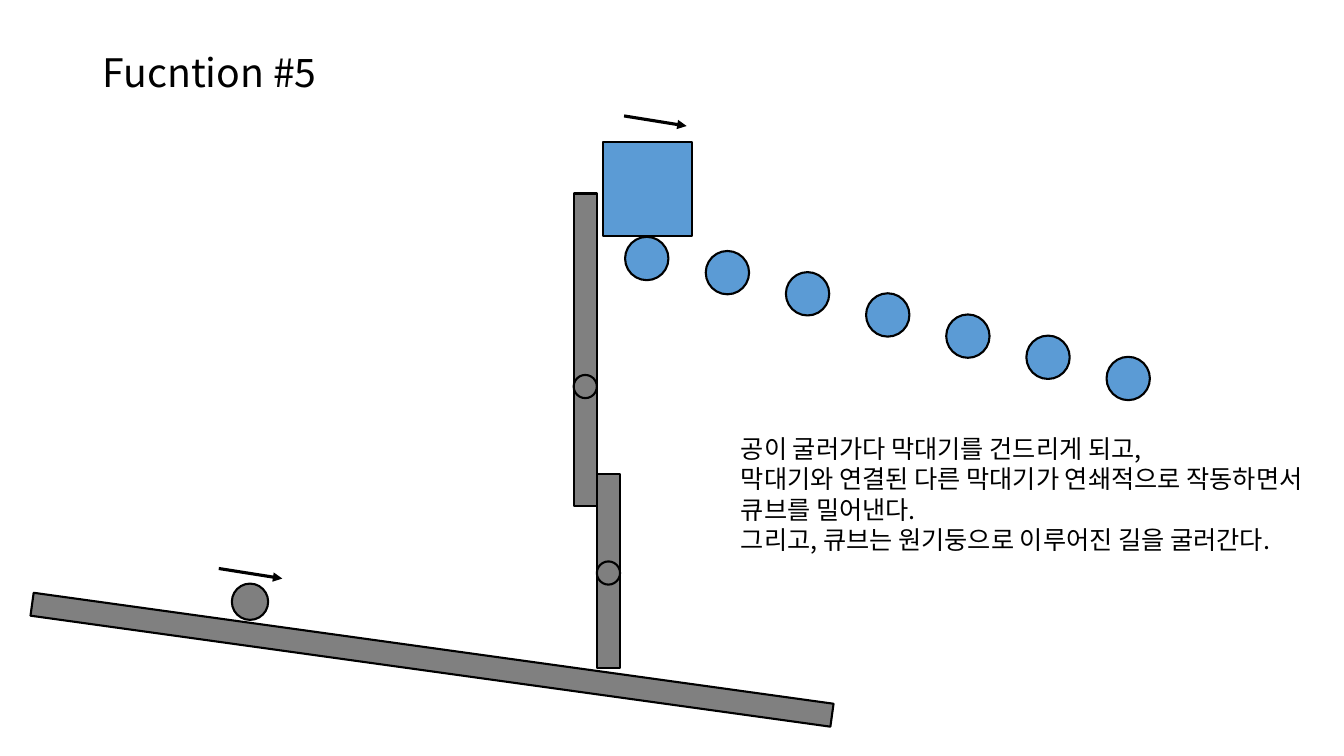
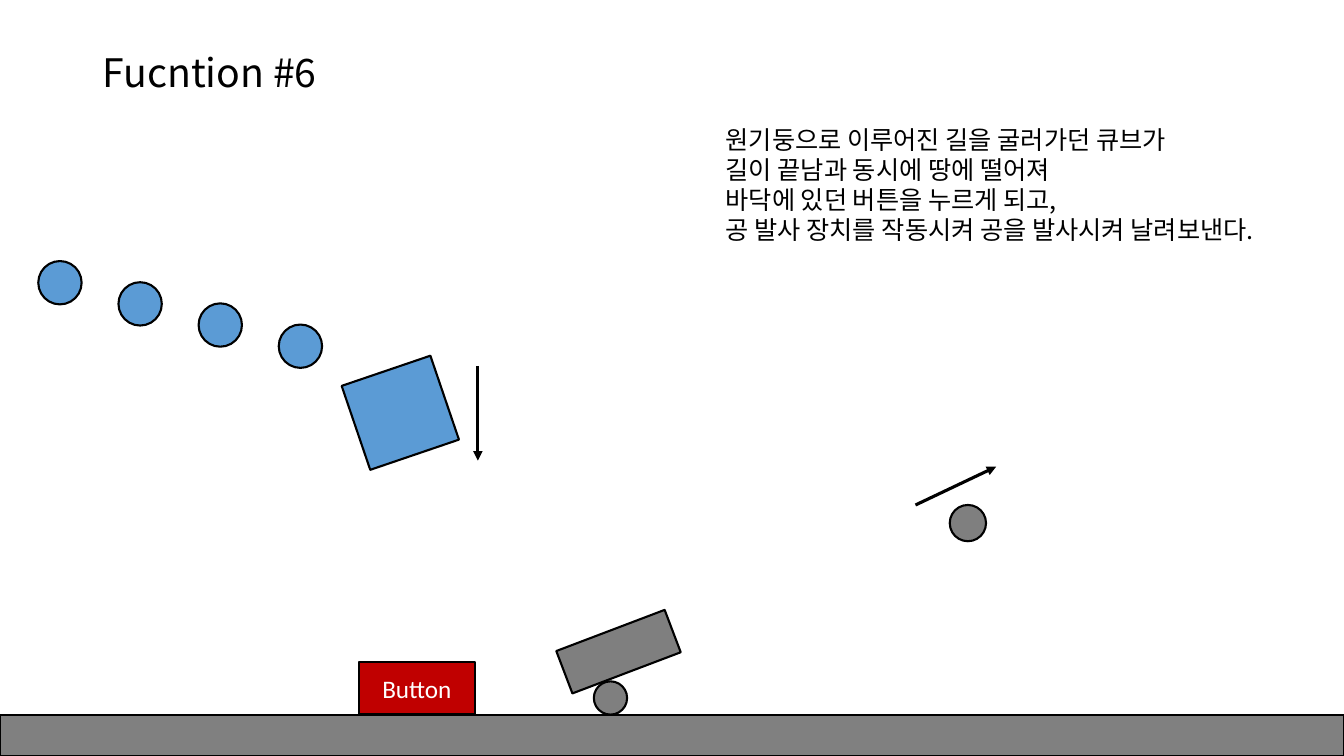
from dataclasses import dataclass

from lxml import etree
from pptx import Presentation
from pptx.dml.color import RGBColor
from pptx.enum import shapes, text
from pptx.oxml.ns import qn
from pptx.util import Inches, Pt


@dataclass(frozen=True)
class Theme:
    ink: str = "000000"
    white: str = "FFFFFF"
    blue: str = "5B9BD5"
    gray: str = "808080"
    pivot: str = "7F7F7F"
    red: str = "C00000"
    font: str = "Noto Sans CJK KR"
    label_font: str = "Calibri"
    title_size: int = 28
    body_size: int = 18
    outline: float = 1.5
    arrow: float = 2.25


T = Theme()
RECT, OVAL = shapes.MSO_SHAPE.RECTANGLE, shapes.MSO_SHAPE.OVAL
TITLE_BOX = (0.92, 0.4, 8.67, 0.69)
CUBE = (0.88, 0.93)
ROLLER, BALL, HINGE, WHEEL = 0.43, 0.36, 0.23, 0.33
ROLLER_STEP = (0.795, 0.21)

# Content: boxes are (left, top, width, height, rotation, colour, label),
# circles are (left, top, diameter, colour), arrows are (x1, y1, x2, y2),
# a roller row is (left, top, count)
SLIDES = [
    dict(
        title="Fucntion #5",
        note_box=(7.25, 4.25, 5.93, 1.31),
        note=["공이 굴러가다 막대기를 건드리게 되고,",
              "막대기와 연결된 다른 막대기가 연쇄적으로 작동하면서",
              "큐브를 밀어낸다.",
              "그리고, 큐브는 원기둥으로 이루어진 길을 굴러간다."],
        boxes=[(0.28, 6.43, 8.01, 0.23, 7.9, T.gray, ""),
               (5.92, 4.7, 0.23, 1.93, 0, T.gray, ""),
               (5.69, 1.92, 0.23, 3.1, 0, T.gray, ""),
               (5.98, 1.41, *CUBE, 0, T.blue, "")],
        circles=[(5.69, 3.72, HINGE, T.pivot), (5.92, 5.57, HINGE, T.pivot),
                 (2.3, 5.79, BALL, T.pivot), (6.2, 2.35, ROLLER, T.blue)],
        rollers=(7, 2.49, 6),
        arrows=[(2.17, 5.64, 2.8, 5.74), (6.19, 1.15, 6.81, 1.25)],
    ),
    dict(
        title="Fucntion #6",
        note_box=(7.1, 1.18, 5.56, 1.31),
        note=["원기둥으로 이루어진 길을 굴러가던 큐브가",
              "길이 끝남과 동시에 땅에 떨어져",
              "바닥에 있던 버튼을 누르게 되고,",
              "공 발사 장치를 작동시켜 공을 발사시켜 날려보낸다."],
        boxes=[(3.53, 3.63, *CUBE, 71.2, T.blue, ""),
               (3.56, 6.57, 1.15, 0.51, 0, T.red, "Button"),
               (0, 7.09, 13.33, 0.41, 0, T.gray, ""),
               (5.56, 6.24, 1.15, 0.45, 339.2, T.pivot, "")],
        circles=[(5.89, 6.76, WHEEL, T.pivot), (9.42, 5.01, BALL, T.pivot)],
        rollers=(0.38, 2.59, 4),
        arrows=[(4.74, 3.63, 4.74, 4.57), (9.08, 5.01, 9.88, 4.63)],
    ),
]


def rgb(color):
    return RGBColor.from_string(color)


def style_text(p, size, color, font):
    p.font.size, p.font.name = Pt(size), font
    p.font.color.rgb = rgb(color)
    for r in p.runs:  # East Asian glyphs take their own typeface
        etree.SubElement(r.font._element, qn("a:ea"), typeface=font)


def add_text(s, box, lines, size, anchor, wrap):
    tf = s.shapes.add_textbox(*map(Inches, box)).text_frame
    tf.word_wrap, tf.vertical_anchor = wrap, anchor
    for i, line in enumerate(lines):
        p = tf.paragraphs[0] if i == 0 else tf.add_paragraph()
        p.text = line
        style_text(p, size, T.ink, T.font)
    return tf


def add_solid(s, kind, box, color, rotation=0, label=""):
    sp = s.shapes.add_shape(kind, *map(Inches, box))
    sp.shadow.inherit = False
    sp.rotation = rotation
    sp.fill.solid()
    sp.fill.fore_color.rgb = rgb(color)
    sp.line.color.rgb = rgb(T.ink)
    sp.line.width = Pt(T.outline)
    if label:
        tf = sp.text_frame
        tf.vertical_anchor = text.MSO_ANCHOR.MIDDLE
        p = tf.paragraphs[0]
        p.text, p.alignment = label, text.PP_ALIGN.CENTER
        style_text(p, T.body_size, T.white, T.label_font)


def add_arrow(s, ends):
    line = s.shapes.add_connector(shapes.MSO_CONNECTOR.STRAIGHT, *map(Inches, ends))
    line.line.color.rgb = rgb(T.ink)
    line.line.width = Pt(T.arrow)
    etree.SubElement(line.line._get_or_add_ln(), qn("a:tailEnd"), type="triangle")
    etree.SubElement(line._element.spPr, qn("a:effectLst"))


def build_slide(prs, c):
    s = prs.slides.add_slide(prs.slide_layouts[6])

    # Title and explanation
    tf = add_text(s, TITLE_BOX, [c["title"]], T.title_size, text.MSO_ANCHOR.MIDDLE, True)
    tf.paragraphs[0].line_spacing = 0.9
    tf = add_text(s, c["note_box"], c["note"], T.body_size, text.MSO_ANCHOR.TOP, False)
    tf.auto_size = text.MSO_AUTO_SIZE.SHAPE_TO_FIT_TEXT

    # Bars, cubes and bases
    for *box, rotation, color, label in c["boxes"]:
        add_solid(s, RECT, box, color, rotation, label)

    # Balls, hinges and the sloping row of rollers
    left, top, count = c["rollers"]
    dx, dy = ROLLER_STEP
    row = [(left + i * dx, top + i * dy, ROLLER, T.blue) for i in range(count)]
    for x, y, size, color in c["circles"] + row:
        add_solid(s, OVAL, (x, y, size, size), color)

    # Directions of motion
    for ends in c["arrows"]:
        add_arrow(s, ends)


prs = Presentation()
prs.slide_width, prs.slide_height = Inches(13.33), Inches(7.5)
for content in SLIDES:
    build_slide(prs, content)
prs.save("out.pptx")
